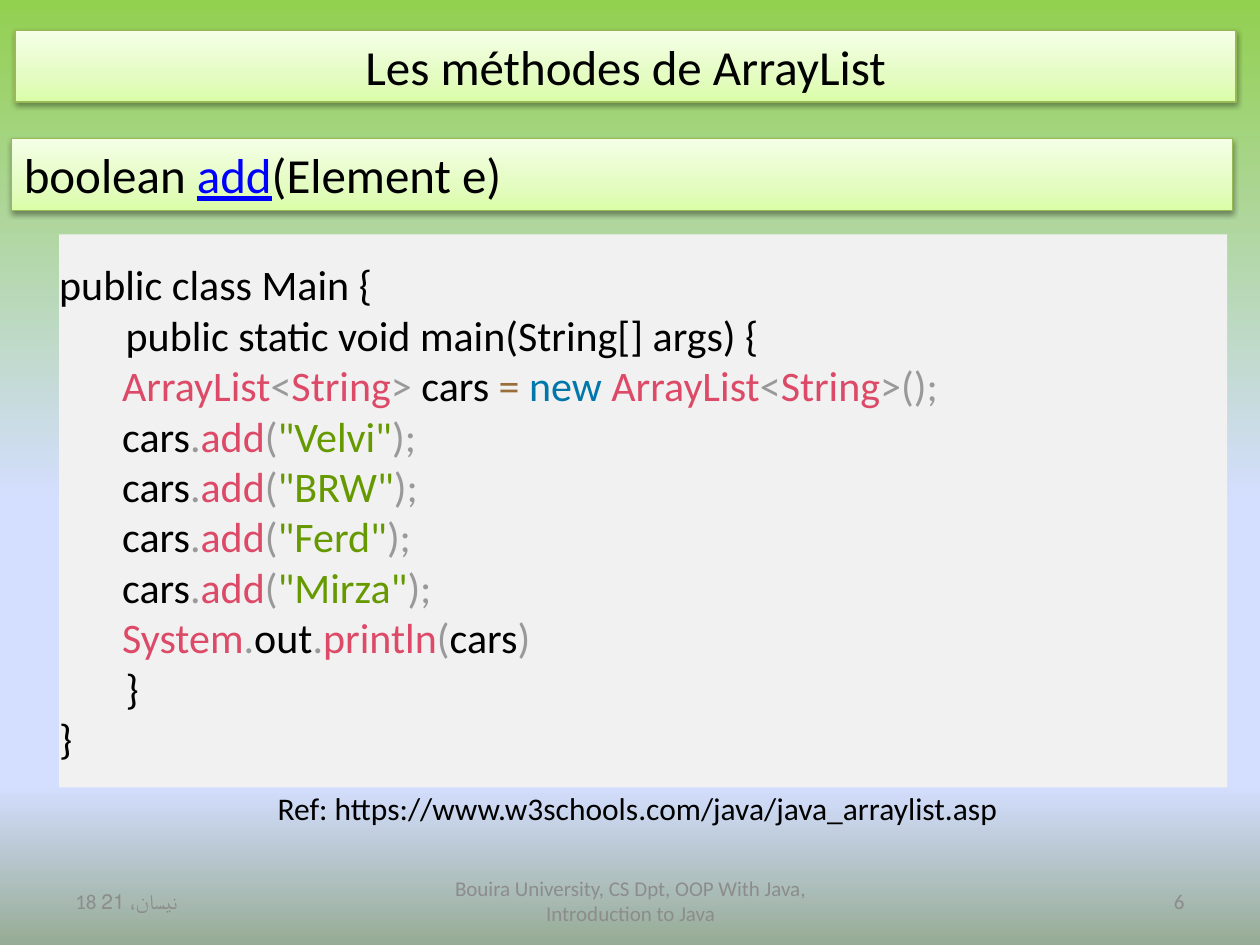
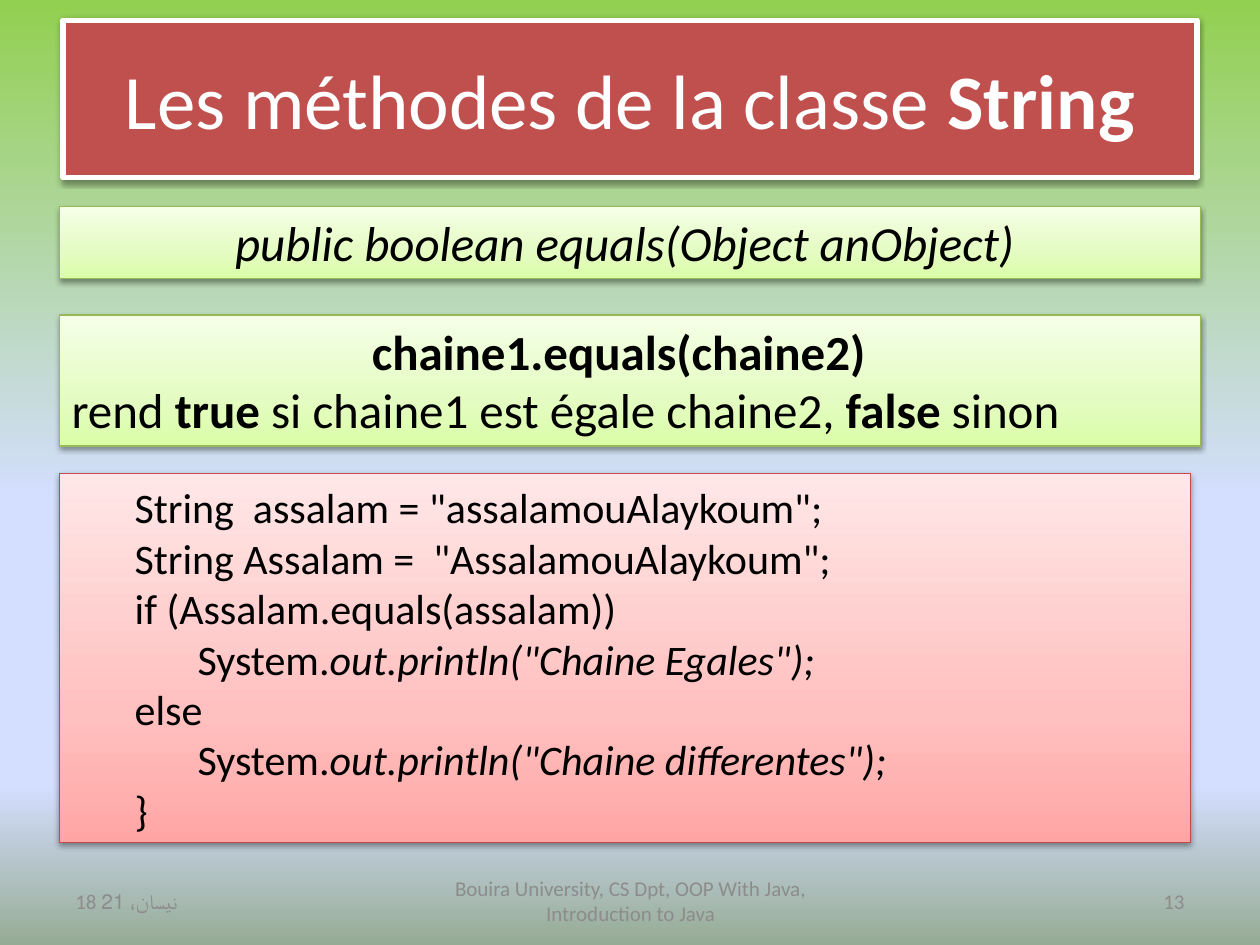
from lxml import etree
from pptx import Presentation
from pptx import util as u
from pptx.dml.color import RGBColor
from pptx.enum import shapes, text
from pptx.oxml.ns import qn

COLOURS = {
    "black": "000000", "white": "FFFFFF", "grey": "8C8C8C", "link": "0000FF",
    "title": "C0504D", "green line": "98B955", "red line": "BF4C48", "code": "F1F1F1",
    "name": "DD4A68", "mark": "999999", "literal": "669900",
    "operator": "9A6E3A", "keyword": "0077AA",
}
GRADIENTS = {  # (position in percent, colour)
    "page": [(0, "92D050"), (53, "D4DEFF"), (83, "D4DEFF"), (100, "96AB94")],
    "green": [(0, "DAFDA7"), (35, "E4FCC2"), (100, "F5FFE7")],
    "red": [(0, "FFA6A5"), (35, "FFC0BF"), (100, "FFE7E7")],
}
ALIGN = {"left": text.PP_ALIGN.LEFT, "center": text.PP_ALIGN.CENTER, "right": text.PP_ALIGN.RIGHT}
BOLD, ITALIC = {"bold": True}, {"italic": True}


def rgb(name):
    return RGBColor.from_string(COLOURS[name])


def fill_gradient(fill, element, name, angle):
    fill.gradient()
    fill.gradient_angle = angle
    stops = element.find(".//" + qn("a:gsLst"))
    for stop in list(stops):
        stops.remove(stop)
    for position, colour in GRADIENTS[name]:
        stop = etree.SubElement(stops, qn("a:gs"), pos=str(position * 1000))
        etree.SubElement(stop, qn("a:srgbClr"), val=colour)


def write(box, lines, size=28, colour="black", align="left", middle=False,
          insets=(7.2, 3.6, 7.2, 3.6), **font):
    """Each line is a string or a list of spans: strings or (string, format)."""
    frame = box.text_frame
    frame.word_wrap = True
    frame.vertical_anchor = text.MSO_ANCHOR.MIDDLE if middle else text.MSO_ANCHOR.TOP
    (frame.margin_left, frame.margin_top,
     frame.margin_right, frame.margin_bottom) = [u.Pt(inset) for inset in insets]
    aligns = [align] * len(lines) if isinstance(align, str) else align
    for index, (line, line_align) in enumerate(zip(lines, aligns)):
        para = frame.add_paragraph() if index else frame.paragraphs[0]
        para.alignment = ALIGN[line_align]
        for part in [line] if isinstance(line, str) else line:
            words, changes = (part, {}) if isinstance(part, str) else part
            look = {"colour": colour, **font, **changes}
            span = para.add_run()
            span.text = words
            span.font.name = "Calibri"
            span.font.size = u.Pt(size)
            span.font.color.rgb = rgb(look["colour"])
            span.font.bold = look.get("bold")
            span.font.italic = look.get("italic")
            span.font.underline = look.get("underline")


class Lesson:
    def __init__(self):
        self.deck = Presentation()
        self.deck.slide_width, self.deck.slide_height = u.Pt(720), u.Pt(540)
        self.page = None

    def new_page(self, number):
        self.page = self.deck.slides.add_slide(self.deck.slide_layouts[6])
        fill_gradient(self.page.background.fill, self.page._element, "page", 270)
        footers = [
            (36, 167.76, "18 نيسان، 21", "left"),
            (246.24, 228.24, "Bouira University, CS Dpt, OOP With Java, Introduction to Java", "center"),
            (516.24, 167.76, str(number), "right"),
        ]
        for left, width, words, align in footers:
            self.label((left, 500.4, width, 28.8), words, size=12,
                       colour="grey", align=align, middle=True)

    def label(self, place, words, **look):
        box = self.page.shapes.add_textbox(*map(u.Pt, place))
        write(box, [words], **look)

    def panel(self, place, lines, fill, line=None, weight=0.75, shadow=True, **look):
        box = self.page.shapes.add_shape(shapes.MSO_SHAPE.RECTANGLE, *map(u.Pt, place))
        if fill in GRADIENTS:
            fill_gradient(box.fill, box._element, fill, 90)
        else:
            box.fill.solid()
            box.fill.fore_color.rgb = rgb(fill)
        if line:
            box.line.color.rgb = rgb(line)
            box.line.width = u.Pt(weight)
        else:
            box.line.fill.background()
        box.shadow.inherit = False
        if shadow:
            self.cast_shadow(box)
        write(box, lines, **look)

    def cast_shadow(self, box):
        effects = box._element.spPr.find(qn("a:effectLst"))
        shade = etree.SubElement(effects, qn("a:outerShdw"), blurRad=str(u.Pt(3.1)),
                                 dist=str(u.Pt(1.6)), dir="5400000", rotWithShape="0")
        tone = etree.SubElement(shade, qn("a:srgbClr"), val=COLOURS["black"])
        etree.SubElement(tone, qn("a:alpha"), val="38000")

    def green_panel(self, place, lines, **look):
        self.panel(place, lines, "green", "green line", **look)


def tint(colour):
    return lambda words: (words, {"colour": colour})


name, mark, literal = tint("name"), tint("mark"), tint("literal")
operator, keyword = tint("operator"), tint("keyword")


def array_list_page(lesson):
    lesson.new_page(6)
    # Title and signature
    lesson.green_panel((8.64, 17.28, 697.68, 41.04), ["Les méthodes de ArrayList"], align="center")
    lesson.green_panel((6.48, 79.2, 697.68, 41.04),
                       [["boolean ", ("add", {"colour": "link", "underline": True}), "(Element e)"]])
    # Coloured code
    list_type = [mark("<"), name("String")]
    code = [
        "public class Main {",
        "       public static void main(String[] args) {",
        [name("\tArrayList"), *list_type, mark(">"), " cars ", operator("= "),
         keyword("new "), name("ArrayList"), *list_type, mark(">();")],
        *[["\tcars", mark("."), name("add"), mark("("), literal(f'"{car}"'), mark(");")]
          for car in ("Velvi", "BRW", "Ferd", "Mirza")],
        [name("\tSystem"), mark("."), "out", mark("."), name("println"),
         mark("("), "cars", mark(")")],
        "       }",
        "}",
    ]
    lesson.panel((33.84, 133.92, 667.44, 316.08), code, "code", shadow=False,
                 size=24, middle=True, insets=(0, 12.24, 0, 12.24))
    # Reference
    lesson.label((33.84, 447.12, 660.96, 28.8),
                 "Ref: https://www.w3schools.com/java/java_arraylist.asp", size=18, align="center")


def string_page(lesson):
    lesson.new_page(13)
    # Title
    lesson.panel((36, 11.52, 648, 90), [["Les méthodes de la classe ", ("String", BOLD)]],
                 "title", "white", weight=3, size=44, colour="white", align="center", middle=True)
    # Signature and meaning
    lesson.green_panel((33.84, 118.08, 652.32, 41.04),
                       ["public boolean equals(Object anObject) "], align="center", italic=True)
    meaning = [
        [("chaine1.equals(chaine2)", BOLD)],
        ["rend ", ("true", BOLD), " si chaine1 est égale chaine2, ", ("false", BOLD), " sinon"],
    ]
    lesson.green_panel((33.84, 180, 652.32, 74.88), meaning,
                       align=("center", "left"), insets=(7.2, 3.6, 20, 3.6))
    # Example
    code = [
        '\tString  assalam = "assalamouAlaykoum";',
        '\tString Assalam =  "AssalamouAlaykoum";',
        "\tif (Assalam.equals(assalam))",
        ["\t\tSystem.", ('out.println("Chaine Egales");', ITALIC)],
        "\telse",
        ["\t\tSystem.", ('out.println("Chaine differentes");', ITALIC)],
        "\t}",
    ]
    lesson.panel((33.84, 270.72, 646.56, 210.96), code, "red", "red line", size=24, middle=True)


def main():
    lesson = Lesson()
    array_list_page(lesson)
    string_page(lesson)
    lesson.deck.save("out.pptx")


if __name__ == "__main__":
    main()
